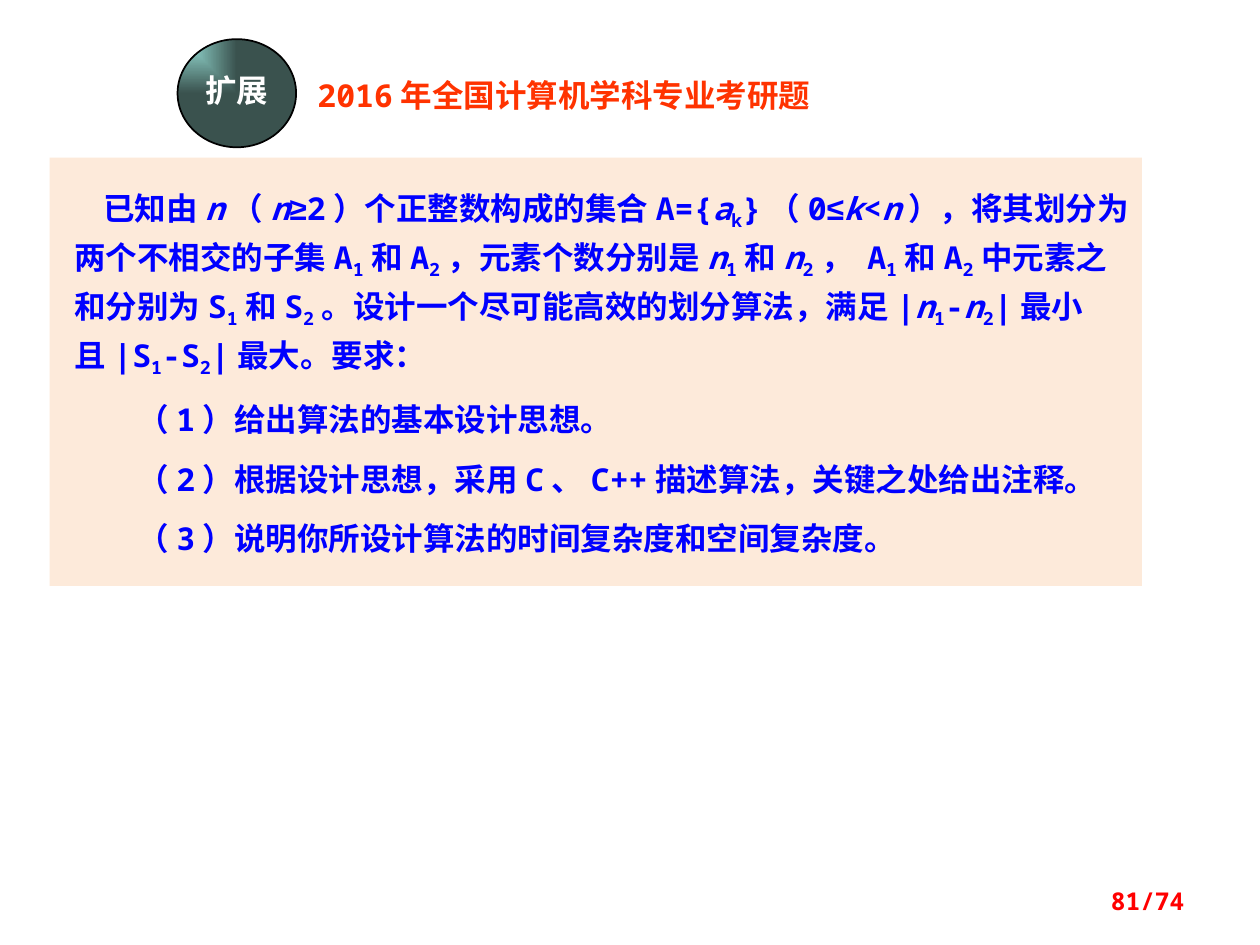
"""Build the extension-exercise slide on splitting a set of integers."""
import itertools

import pptx
import pptx.dml.color
import pptx.enum.shapes
import pptx.enum.text
import pptx.oxml
import pptx.oxml.ns
import pptx.util

Cm = pptx.util.Cm
Pt = pptx.util.Pt
RGB = pptx.dml.color.RGBColor
Shape = pptx.enum.shapes.MSO_SHAPE
Align = pptx.enum.text.PP_ALIGN
Anchor = pptx.enum.text.MSO_ANCHOR

PEACH = RGB(0xFD, 0xEA, 0xDA)
BLUE = RGB(0x00, 0x00, 0xFF)
ORANGE = RGB(0xFF, 0x33, 0x00)
RED = RGB(0xFF, 0x00, 0x00)
WHITE = RGB(0xFF, 0xFF, 0xFF)
BLACK = RGB(0x00, 0x00, 0x00)
LIGHT = RGB(0x9C, 0xE6, 0xDD)
DARK = RGB(0x3A, 0x52, 0x4E)

MONO = "Noto Sans Mono"
HAN = "Noto Sans CJK SC"
MARKS = {"*": "italic", "_": "sub"}

TASK = (
    "已知由*n（*n≥2）个正整数构成的集合A={*a_k}（0≤*k<*n），"
    "将其划分为两个不相交的子集A_1和A_2，元素个数分别是*n_1和*n_2， A_1和A_2"
    "中元素之和分别为S_1和S_2。设计一个尽可能高效的划分算法，"
    "满足|*n_1-*n_2|最小且|S_1-S_2|最大。要求："
)
GOALS = (
    "（1）给出算法的基本设计思想。",
    "（2）根据设计思想，采用C、C++描述算法，关键之处给出注释。",
    "（3）说明你所设计算法的时间复杂度和空间复杂度。",
)


def set_font(para, color, size=18, name=MONO):
    """Give a paragraph its bold font."""
    font = para.font
    font.name, font.size, font.bold = name, Pt(size), True
    font.color.rgb = color


def split(text):
    """Yield (style, text) pieces; * makes the next letter italic, _ lowers it."""
    pairs, style = [], None
    for char in text:
        if char in MARKS:
            style = MARKS[char]
            continue
        pairs.append((style or ("math" if char in "≤≥" else "plain"), char))
        style = None
    for style, group in itertools.groupby(pairs, key=lambda pair: pair[0]):
        yield style, "".join(char for _, char in group)


def add_runs(para, text):
    """Fill a paragraph with styled runs."""
    for style, piece in split(text):
        run = para.add_run()
        run.text = piece
        if style == "italic":
            run.font.italic = True
        elif style == "sub":
            run.font._element.set("baseline", "-25000")
        elif style == "math":
            run.font.name = "Arial"


def add_label(slide, text, box, color, size=18, align=Align.LEFT, anchor=Anchor.TOP):
    """Add one line of text in its own box."""
    frame = slide.shapes.add_textbox(*map(Cm, box)).text_frame
    frame.word_wrap = True
    frame.vertical_anchor = anchor
    para = frame.paragraphs[0]
    para.text, para.alignment = text, align
    set_font(para, color, size)


def add_panel(slide):
    """Add the peach panel with the task and its goals."""
    panel = slide.shapes.add_shape(Shape.RECTANGLE, Cm(1), Cm(3.18), Cm(22.02), Cm(8.63))
    panel.shadow.inherit = False
    panel.fill.solid()
    panel.fill.fore_color.rgb = PEACH
    panel.line.fill.background()
    frame = panel.text_frame
    frame.word_wrap = True
    frame.vertical_anchor = Anchor.TOP
    frame.margin_left = frame.margin_top = frame.margin_bottom = Cm(0.5)
    frame.margin_right = Cm(0.25)
    for row, text in enumerate((TASK, *GOALS)):
        para = frame.add_paragraph() if row else frame.paragraphs[0]
        para.alignment = Align.LEFT
        para.line_spacing = Pt(28)
        if row:
            para.space_before = Pt(6)
        para._p.get_or_add_pPr().set("indent", str(Cm(1.27 if row else 0.58)))
        set_font(para, BLUE)
        add_runs(para, text)


def add_badge(slide, text):
    """Add the round badge, lit from its top left corner."""
    badge = slide.shapes.add_shape(Shape.OVAL, Cm(3.58), Cm(0.79), Cm(2.39), Cm(2.18))
    badge.shadow.inherit = False
    badge.line.color.rgb = BLACK
    badge.line.width = Pt(1)
    badge.fill.gradient()
    for stop, color, place in zip(badge.fill.gradient_stops, (LIGHT, DARK), (0, 1)):
        stop.color.rgb, stop.position = color, place
    lin = badge._element.spPr.find(".//" + pptx.oxml.ns.qn("a:lin"))
    glow = pptx.oxml.parse_xml(
        f'<a:path {pptx.oxml.ns.nsdecls("a")} path="rect">'
        '<a:fillToRect r="100000" b="100000"/></a:path>'
    )
    lin.getparent().replace(lin, glow)
    frame = badge.text_frame
    frame.word_wrap = False
    frame.vertical_anchor = Anchor.MIDDLE
    para = frame.paragraphs[0]
    para.text, para.alignment, para.line_spacing = text, Align.CENTER, 0.8
    set_font(para, WHITE, name=HAN)


def main():
    """Build and save the slide."""
    deck = pptx.Presentation()
    deck.slide_width, deck.slide_height = Cm(25.4), Cm(19.05)
    slide = deck.slides.add_slide(deck.slide_layouts[6])
    add_panel(slide)
    add_label(slide, "2016年全国计算机学科专业考研题", (6.15, 1.4, 11.13, 1.02), ORANGE)
    add_badge(slide, "扩展")
    add_label(slide, "81/74", (18.21, 17.65, 5.92, 1.02), RED, 14,
              Align.RIGHT, Anchor.MIDDLE)
    deck.save("out.pptx")


if __name__ == "__main__":
    main()
